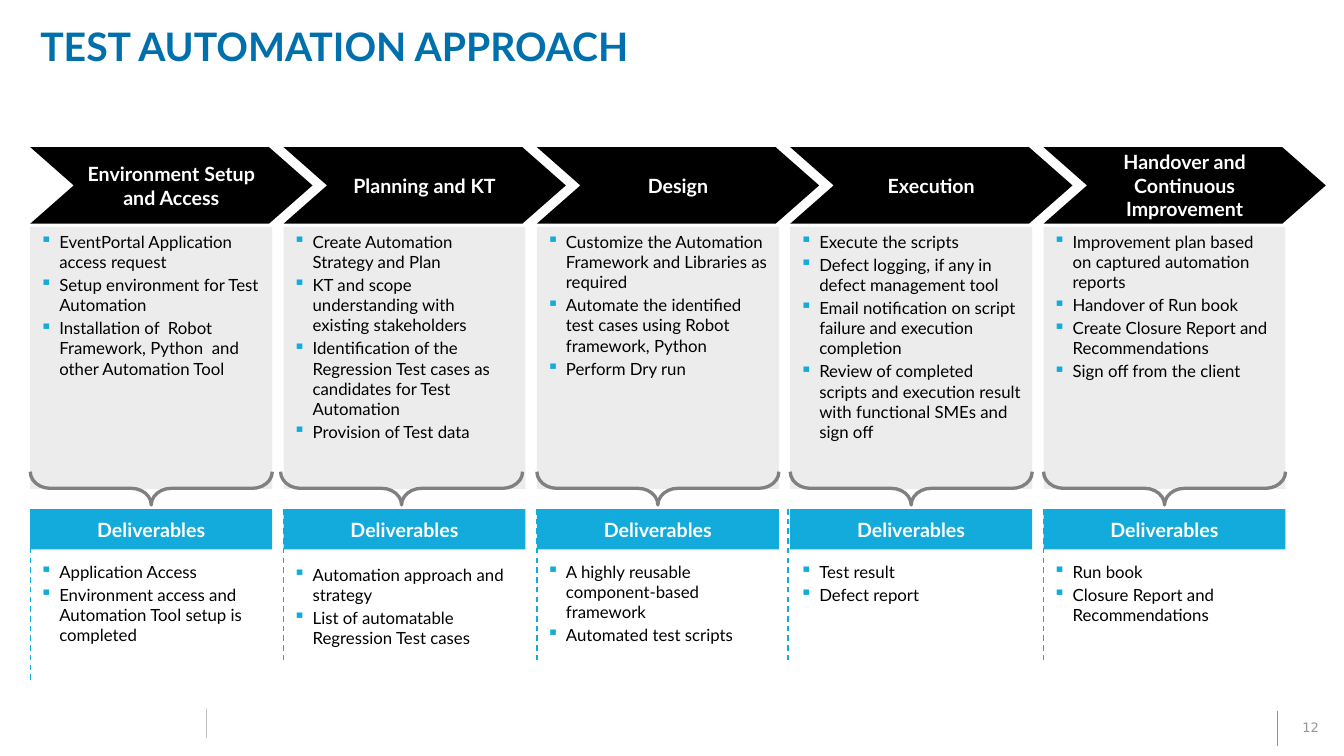
from dataclasses import dataclass

from pptx import Presentation
from pptx.dml.color import RGBColor
from pptx.enum.dml import MSO_LINE_DASH_STYLE as DASH
from pptx.enum.shapes import MSO_CONNECTOR, MSO_SHAPE as SHAPE
from pptx.enum.text import MSO_ANCHOR as ANCHOR, PP_ALIGN as ALIGN
from pptx.oxml.ns import qn
from pptx.util import Inches, Pt
from lxml.etree import SubElement

BLACK = RGBColor(0x00, 0x00, 0x00)
WHITE = RGBColor(0xFF, 0xFF, 0xFF)
PANEL = RGBColor(0xEC, 0xEC, 0xEC)
CYAN = RGBColor(0x12, 0xAB, 0xDB)
TITLE_BLUE = RGBColor(0x00, 0x70, 0xAD)
BRACE_GRAY = RGBColor(0x80, 0x80, 0x80)
NUMBER_GRAY = RGBColor(0x96, 0x96, 0x96)
RULE_GRAY = RGBColor(0xBF, 0xBF, 0xBF)

LEFT, TOP = 0.3, 1.46
COLUMN_W = 2.4
PITCH = (10.35 - LEFT) / 4


@dataclass
class Stage:
    heading: list
    tasks: list
    deliverables: list
    list_h: float
    list_dy: float = 0
    brace_dx: float = 0
    rule_dx: float = 0
    rule_h: float = 1.51


STAGES = [
    Stage(["Environment Setup and Access"],
          ["EventPortal Application access request",
           "Setup environment for Test Automation",
           "Installation of  Robot Framework, Python  and other Automation Tool"],
          ["Application Access",
           "Environment access and Automation Tool setup is completed"],
          0.94, rule_h=1.73),
    Stage(["Planning and KT"],
          ["Create Automation Strategy and Plan",
           "KT and scope understanding with existing stakeholders",
           "Identification of the Regression Test cases as candidates for Test Automation",
           "Provision of Test data"],
          ["Automation approach and strategy",
           "List of automatable Regression Test cases"],
          0.94, list_dy=0.03, brace_dx=-0.03),
    Stage(["Design"],
          ["Customize the Automation Framework and Libraries as required",
           "Automate the identified test cases using Robot framework, Python",
           "Perform Dry run"],
          ["A highly reusable component-based framework",
           "Automated test scripts"],
          1.17),
    Stage(["Execution"],
          ["Execute the scripts",
           "Defect logging, if any in defect management tool",
           "Email notification on script failure and execution completion",
           "Review of completed scripts and execution result with functional SMEs and sign off"],
          ["Test result", "Defect report"],
          0.53, rule_dx=-0.02),
    Stage(["Handover and", "Continuous Improvement"],
          ["Improvement plan based on captured automation reports",
           "Handover of Run book",
           "Create Closure Report and Recommendations",
           "Sign off from the client"],
          ["Run book", "Closure Report and Recommendations"],
          0.96),
]


def add_bullet(p):
    pPr = p._p.get_or_add_pPr()
    pPr.set("marL", str(Inches(0.19)))
    pPr.set("indent", str(-Inches(0.19)))
    color = SubElement(SubElement(pPr, qn("a:buClr")), qn("a:srgbClr"))
    color.set("val", str(CYAN))
    SubElement(pPr, qn("a:buChar")).set("char", "▪")


def write(sp, lines, size=12, color=BLACK, font="Lato", bold=False, align=ALIGN.LEFT,
          anchor=ANCHOR.TOP, side=0.1, edge=0.05, spacing=None, bullets=False):
    tf = sp.text_frame
    tf.word_wrap = True
    tf.vertical_anchor = anchor
    tf.margin_left = tf.margin_right = Inches(side)
    tf.margin_top = tf.margin_bottom = Inches(edge)
    for i, line in enumerate(lines):
        p = tf.paragraphs[0] if i == 0 else tf.add_paragraph()
        p.alignment = align
        if spacing:
            p.line_spacing = spacing
        if bullets:
            p.space_before = Pt(2)
            add_bullet(p)
        r = p.add_run()
        r.text = line
        r.font.name, r.font.size, r.font.bold = font, Pt(size), bold
        r.font.color.rgb = color


def add_box(s, kind, x, y, w, h, fill=None):
    sp = s.shapes.add_shape(kind, Inches(x), Inches(y), Inches(w), Inches(h))
    sp.shadow.inherit = False
    sp.line.fill.background()
    if fill is None:
        sp.fill.background()
    else:
        sp.fill.solid()
        sp.fill.fore_color.rgb = fill
    return sp


def add_vertical_rule(s, x, y, h, color, width, dash=None):
    c = s.shapes.add_connector(MSO_CONNECTOR.STRAIGHT, Inches(x), Inches(y),
                               Inches(x), Inches(y + h))
    c.line.color.rgb = color
    c.line.width = Pt(width)
    if dash:
        c.line.dash_style = dash
    SubElement(c._element.spPr, qn("a:effectLst"))


def add_brace(s, x, y, w, h):
    """Draw a brace pointing down: a right brace turned by a quarter."""
    sp = add_box(s, SHAPE.RIGHT_BRACE, x + (w - h) / 2, y + (h - w) / 2, h, w)
    sp.rotation = 90
    sp.adjustments[0] = 0.6
    sp.line.color.rgb = BRACE_GRAY
    sp.line.width = Pt(2.38)


def add_stage(s, stage, x, y, w):
    chevron = add_box(s, SHAPE.CHEVRON, x, y, w + 0.4, 0.76, BLACK)
    chevron.adjustments[0] = 0.568
    heading = dict(size=14, color=WHITE, bold=True, align=ALIGN.CENTER, anchor=ANCHOR.MIDDLE)
    write(chevron, stage.heading, side=0, **heading)

    panel = add_box(s, SHAPE.RECTANGLE, x, y + 0.79, w, 2.6, PANEL)
    write(panel, stage.tasks, bullets=True)
    add_brace(s, x + stage.brace_dx, y + 3.22, w, 0.33)

    banner = add_box(s, SHAPE.RECTANGLE, x, y + 3.59, w, 0.4, CYAN)
    write(banner, ["Deliverables"], **heading)
    results = add_box(s, SHAPE.RECTANGLE, x, y + 4.06 + stage.list_dy, w, stage.list_h)
    write(results, stage.deliverables, bullets=True)
    add_vertical_rule(s, x + stage.rule_dx, y + 3.59, stage.rule_h, CYAN, 1, DASH.DASH)


def add_title(s, x, y, w, h):
    sp = s.shapes.add_textbox(Inches(x), Inches(y), Inches(w), Inches(h))
    write(sp, ["TEST AUTOMATION APPROACH"], size=28, color=TITLE_BLUE, bold=True,
          anchor=ANCHOR.MIDDLE, side=0, edge=0, spacing=0.9)


def add_footer(s, x, y, w, h):
    add_vertical_rule(s, 2.05, y - 0.02, 0.29, RULE_GRAY, 1)
    add_vertical_rule(s, x, y, h, NUMBER_GRAY, 0.75)
    sp = s.shapes.add_textbox(Inches(x), Inches(y), Inches(w), Inches(h))
    write(sp, ["12"], size=9.3, color=NUMBER_GRAY, font="DejaVu Sans",
          align=ALIGN.CENTER, anchor=ANCHOR.MIDDLE, spacing=0.85)


def main():
    prs = Presentation()
    prs.slide_width, prs.slide_height = Inches(13.33), Inches(7.5)
    s = prs.slides.add_slide(prs.slide_layouts[6])
    add_footer(s, 12.67, 7.05, 0.66, 0.35)
    for i, stage in enumerate(STAGES):
        add_stage(s, stage, LEFT + i * PITCH, TOP, COLUMN_W)
    add_title(s, 0.4, 0.27, 12.04, 0.42)
    prs.save("out.pptx")


if __name__ == "__main__":
    main()
